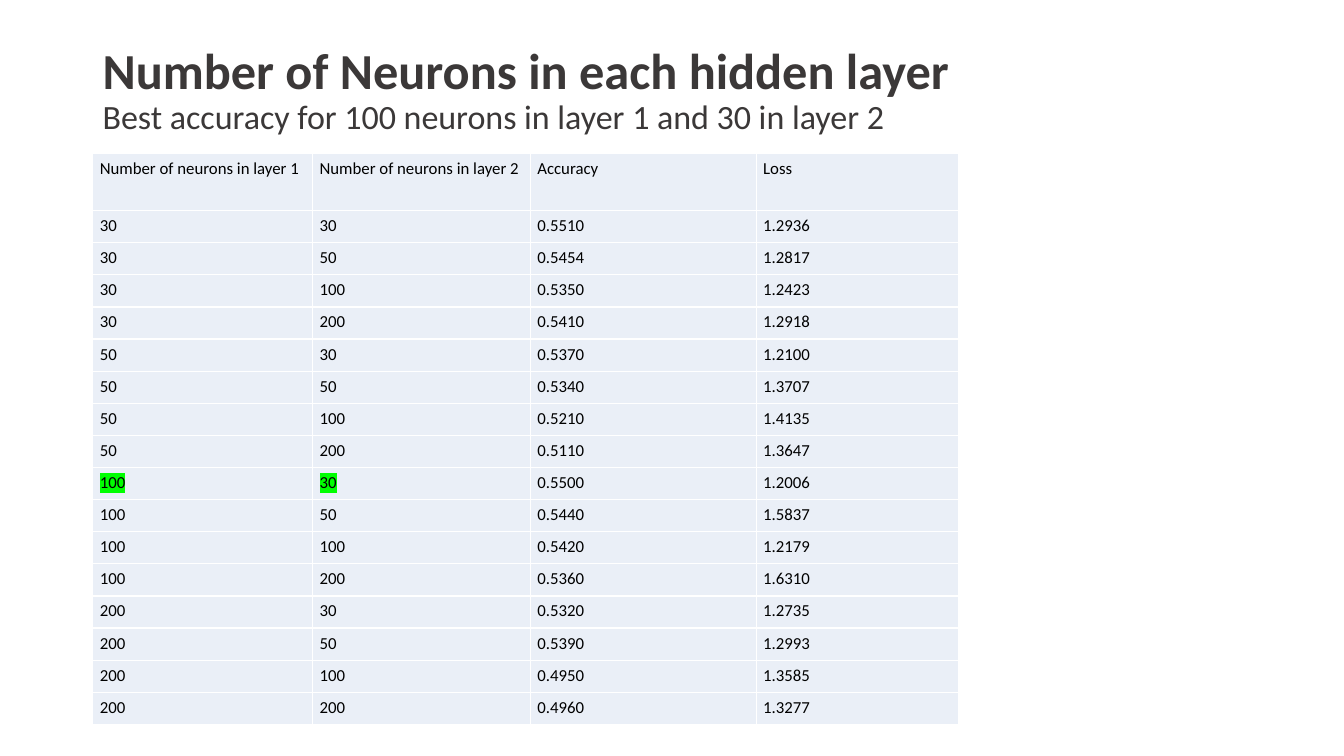
"""Build the slide that compares neuron counts in two hidden layers."""
import itertools

import lxml.etree
import pptx
import pptx.dml.color
import pptx.enum.text
import pptx.oxml.ns
import pptx.util

RGBColor = pptx.dml.color.RGBColor
Inches = pptx.util.Inches
Pt = pptx.util.Pt
qn = pptx.oxml.ns.qn
Align = pptx.enum.text.PP_ALIGN

HEADING = RGBColor(0x3B, 0x38, 0x38)
BLACK = RGBColor(0x00, 0x00, 0x00)
WHITE = RGBColor(0xFF, 0xFF, 0xFF)
PALE_BLUE = RGBColor(0xEA, 0xEF, 0xF7)
GREEN = RGBColor(0x00, 0xFF, 0x00)

TITLE = "Number of Neurons in each hidden layer"
SUBTITLE = "Best accuracy for 100 neurons in layer 1 and 30 in layer 2"
HEADERS = ("Number of neurons in layer 1", "Number of neurons in layer 2", "Accuracy", "Loss")
LAYER_SIZES = ("30", "50", "100", "200")
BEST_SIZES = ("100", "30")
SCORES = (
    ("0.5510", "1.2936"), ("0.5454", "1.2817"), ("0.5350", "1.2423"), ("0.5410", "1.2918"),
    ("0.5370", "1.2100"), ("0.5340", "1.3707"), ("0.5210", "1.4135"), ("0.5110", "1.3647"),
    ("0.5500", "1.2006"), ("0.5440", "1.5837"), ("0.5420", "1.2179"), ("0.5360", "1.6310"),
    ("0.5320", "1.2735"), ("0.5390", "1.2993"), ("0.4950", "1.3585"), ("0.4960", "1.3277"),
)

PAGE_WIDTH, PAGE_HEIGHT = 13.33, 7.5
LEFT = 0.92
TITLE_WIDTH, TITLE_BOTTOM = 11.5, 1.36
TABLE_TOP, TABLE_HEIGHT, HEADER_HEIGHT = 1.52, 5.67, 0.57
COLUMN_WIDTHS = (2.18, 2.16, 2.24, 2.01)

TITLE_FONT = {"name": "Calibri", "size": Pt(36), "bold": True}
SUBTITLE_FONT = {"name": "Calibri", "size": Pt(24.3), "bold": False}
CELL_FONT = {"name": "Calibri", "size": Pt(12), "bold": False}
TITLE_FRAME = {"word_wrap": True, "vertical_anchor": pptx.enum.text.MSO_ANCHOR.BOTTOM,
               "margin_top": 0, "margin_bottom": 0}
CELL_MARGINS = {"margin_left": Inches(0.07), "margin_right": Inches(0.07),
                "margin_top": Inches(0.05), "margin_bottom": Inches(0.05)}
TABLE_FLAGS = {"first_row": False, "horz_banding": False}


def apply(target, values):
    for name, value in values.items():
        setattr(target, name, value)


def add_span(para, text, font, color):
    span = para.add_run()
    span.text = text
    apply(span.font, font)
    span.font.color.rgb = color
    return span


def add_color(parent, color):
    lxml.etree.SubElement(parent, qn("a:srgbClr"), val=str(color))


def highlight(span, color):
    mark = lxml.etree.Element(qn("a:highlight"))
    add_color(mark, color)
    span.font.fill.solid()
    span.font.color.rgb = BLACK
    span.font._element.find(qn("a:solidFill")).addnext(mark)


def add_borders(cell, color):
    properties = cell._tc.get_or_add_tcPr()
    for position, side in enumerate(("a:lnL", "a:lnR", "a:lnT", "a:lnB")):
        line = lxml.etree.Element(qn(side), w=str(Pt(1)))
        add_color(lxml.etree.SubElement(line, qn("a:solidFill")), color)
        properties.insert(position, line)


def add_title(page):
    box = page.shapes.add_textbox(Inches(LEFT), 0, Inches(TITLE_WIDTH), Inches(TITLE_BOTTOM))
    apply(box.text_frame, TITLE_FRAME)
    para = box.text_frame.paragraphs[0]
    para.line_spacing = 0.9
    add_span(para, TITLE, TITLE_FONT, HEADING)
    para.add_line_break()
    add_span(para, SUBTITLE, SUBTITLE_FONT, HEADING)


def add_results(page):
    size_pairs = list(itertools.product(LAYER_SIZES, repeat=2))
    rows = [HEADERS] + [sizes + scores for sizes, scores in zip(size_pairs, SCORES)]
    best_row = 1 + size_pairs.index(BEST_SIZES)
    row_height = (TABLE_HEIGHT - HEADER_HEIGHT) / len(SCORES)
    table = page.shapes.add_table(
        len(rows), len(HEADERS), Inches(LEFT), Inches(TABLE_TOP),
        Inches(sum(COLUMN_WIDTHS)), Inches(TABLE_HEIGHT)).table
    apply(table, TABLE_FLAGS)
    for column, width in zip(table.columns, COLUMN_WIDTHS):
        column.width = Inches(width)
    for r, values in enumerate(rows):
        table.rows[r].height = Inches(row_height if r else HEADER_HEIGHT)
        for c, value in enumerate(values):
            cell = table.cell(r, c)
            apply(cell, CELL_MARGINS)
            cell.fill.solid()
            cell.fill.fore_color.rgb = PALE_BLUE
            add_borders(cell, WHITE)
            para = cell.text_frame.paragraphs[0]
            para.alignment = Align.LEFT if r == 0 and c < 2 else Align.JUSTIFY
            span = add_span(para, value, CELL_FONT, BLACK)
            if r == best_row and c < len(BEST_SIZES):
                highlight(span, GREEN)


def main():
    deck = pptx.Presentation()
    apply(deck, {"slide_width": Inches(PAGE_WIDTH), "slide_height": Inches(PAGE_HEIGHT)})
    page = deck.slides.add_slide(deck.slide_layouts[6])
    add_title(page)
    add_results(page)
    deck.save("out.pptx")


if __name__ == "__main__":
    main()
